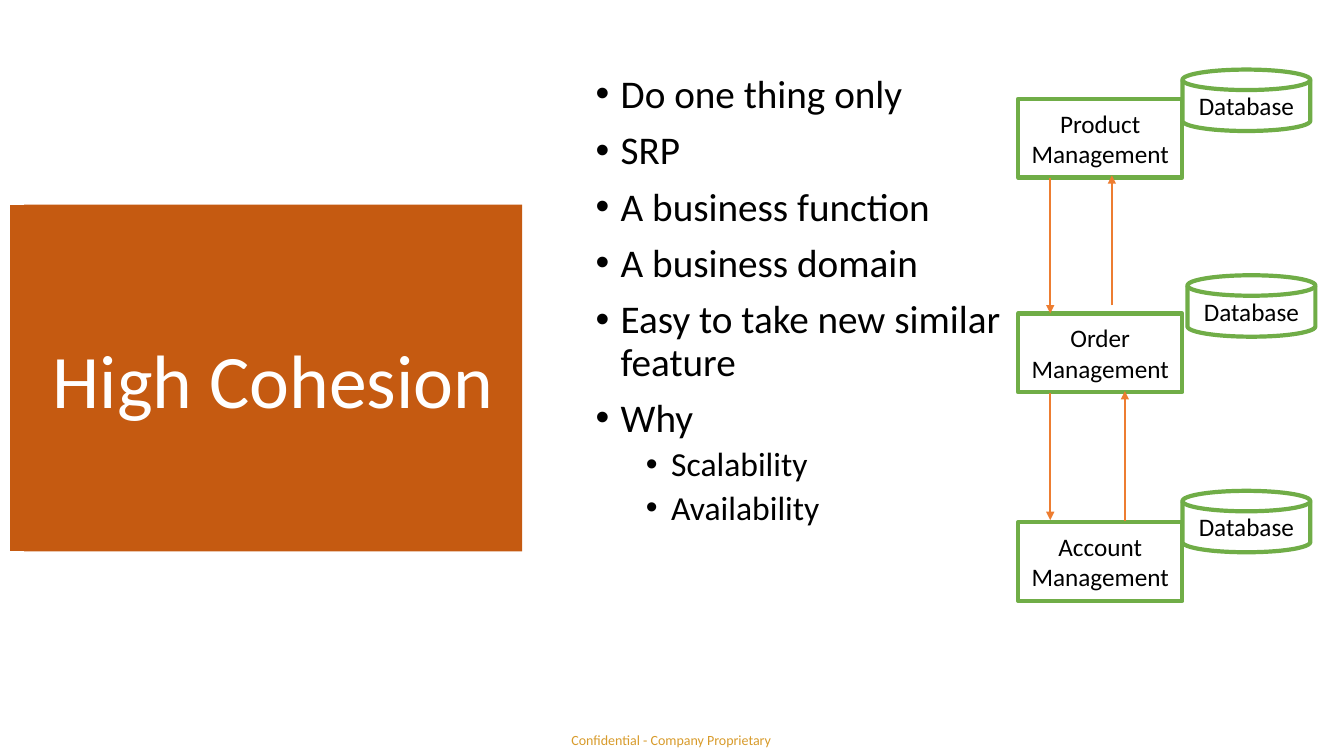
"""Build the High Cohesion slide: title panel, bullet list and service diagram."""
from dataclasses import dataclass

import lxml.etree
import pptx
import pptx.dml.color
import pptx.enum.shapes
import pptx.enum.text
import pptx.oxml.ns
import pptx.util

Pt = pptx.util.Pt
RGBColor = pptx.dml.color.RGBColor
Shapes = pptx.enum.shapes.MSO_SHAPE
Align = pptx.enum.text.PP_ALIGN
Anchor = pptx.enum.text.MSO_ANCHOR
qn = pptx.oxml.ns.qn


@dataclass(frozen=True)
class Theme:
    font: str = "Calibri"
    panel: str = "C55A11"
    outline: str = "70AD47"
    arrow: str = "ED7D31"
    footer: str = "D89B2B"
    ink: str = "000000"
    paper: str = "FFFFFF"
    title_size: float = 54
    bullet_sizes: tuple = (28, 24)
    label_size: float = 18
    footer_size: float = 10


@dataclass(frozen=True)
class Bullet:
    text: str
    level: int = 0


@dataclass(frozen=True)
class Service:
    name: str
    top: float
    disk_left: float
    disk_top: float


@dataclass(frozen=True)
class Arrow:
    x: float
    start: float
    end: float


THEME = Theme()
BULLETS = (
    Bullet("Do one thing only"),
    Bullet("SRP"),
    Bullet("A business function"),
    Bullet("A business domain"),
    Bullet("Easy to take new similar feature"),
    Bullet("Why"),
    Bullet("Scalability", 1),
    Bullet("Availability", 1),
)
SERVICES = (
    Service("Order Management", 223.9, 848.2, 196.6),
    Service("Account Management", 373, 844.6, 350.6),
    Service("Product Management", 70.6, 844.6, 49.7),
)
ARROWS = (
    Arrow(750.2, 127.4, 223.9),
    Arrow(750.2, 280.8, 371.5),
    Arrow(794.2, 218.2, 125.3),
    Arrow(803.5, 372.2, 279.4),
)
SERVICE_LEFT, SERVICE_SIZE, DISK_SIZE = 727.2, (117.4, 56.2), (91.4, 43.9)
PANEL_TOP, PANEL_SIZE = 146.2, (355.7, 247.7)


def color(value: str) -> RGBColor:
    return RGBColor.from_string(value)


def add_run(para, text: str, size: float, ink: str) -> None:
    span = para.add_run()
    span.text = text
    span.font.name = THEME.font
    span.font.size = Pt(size)
    span.font.color.rgb = color(ink)


def add_box(page, kind, left: float, top: float, size: tuple,
            fill: str, line: str, weight: float):
    box = page.shapes.add_shape(kind, Pt(left), Pt(top), Pt(size[0]), Pt(size[1]))
    box.shadow.inherit = False
    box.fill.solid()
    box.fill.fore_color.rgb = color(fill)
    box.line.color.rgb = color(line)
    box.line.width = Pt(weight)
    return box


def add_label_box(page, kind, left: float, top: float, size: tuple, text: str) -> None:
    box = add_box(page, kind, left, top, size, THEME.paper, THEME.outline, 3)
    box.text_frame.word_wrap = True
    box.text_frame.vertical_anchor = Anchor.MIDDLE
    para = box.text_frame.paragraphs[0]
    para.alignment = Align.CENTER
    add_run(para, text, THEME.label_size, THEME.ink)


def add_title(page, text: str) -> None:
    title = page.shapes.title
    panel = add_box(page, Shapes.RECTANGLE, 6.5, PANEL_TOP, PANEL_SIZE,
                    THEME.panel, THEME.paper, 1)
    title.element.addprevious(panel.element)
    title.left, title.top = Pt(17.3), Pt(PANEL_TOP)
    title.width, title.height = Pt(PANEL_SIZE[0]), Pt(PANEL_SIZE[1])
    title.fill.solid()
    title.fill.fore_color.rgb = color(THEME.panel)
    frame = title.text_frame
    frame.auto_size = pptx.enum.text.MSO_AUTO_SIZE.NONE
    frame.word_wrap = True
    frame.vertical_anchor = Anchor.MIDDLE
    frame.margin_left = frame.margin_right = Pt(8)
    frame.margin_top = frame.margin_bottom = Pt(8)
    para = frame.paragraphs[0]
    para.alignment = Align.CENTER
    para.line_spacing = 1.0
    add_run(para, text, THEME.title_size, THEME.paper)


def add_bullets(page, bullets: tuple) -> None:
    box = page.shapes.add_textbox(Pt(418.3), Pt(49.7), Pt(308.9), Pt(436.3))
    frame = box.text_frame
    frame.word_wrap = True
    for index, bullet in enumerate(bullets):
        para = frame.add_paragraph() if index else frame.paragraphs[0]
        para.level = bullet.level
        para.line_spacing = 0.9
        para.space_before = Pt((10, 5)[bullet.level] if index else 0)
        properties = para._p.get_or_add_pPr()
        properties.set("marL", str(Pt(18 + 36 * bullet.level)))
        properties.set("indent", str(-Pt(18)))
        lxml.etree.SubElement(properties, qn("a:buFont")).set("typeface", "Arial")
        lxml.etree.SubElement(properties, qn("a:buChar")).set("char", "•")
        add_run(para, bullet.text, THEME.bullet_sizes[bullet.level], THEME.ink)


def add_arrow(page, arrow: Arrow) -> None:
    line = page.shapes.add_connector(pptx.enum.shapes.MSO_CONNECTOR.STRAIGHT,
                                     Pt(arrow.x), Pt(arrow.start), Pt(arrow.x), Pt(arrow.end))
    line.line.color.rgb = color(THEME.arrow)
    line.line.width = Pt(1.5)
    lxml.etree.SubElement(line.line._get_or_add_ln(), qn("a:tailEnd")).set("type", "triangle")
    lxml.etree.SubElement(line.element.spPr, qn("a:effectLst"))


def add_footer(page, text: str) -> None:
    box = page.shapes.add_textbox(Pt(408.2), Pt(522.7), Pt(145.4), Pt(12.2))
    frame = box.text_frame
    frame.margin_left = frame.margin_right = frame.margin_top = frame.margin_bottom = 0
    frame.word_wrap = False
    add_run(frame.paragraphs[0], text, THEME.footer_size, THEME.footer)


def main() -> None:
    deck = pptx.Presentation()
    deck.slide_width, deck.slide_height = Pt(960), Pt(540)
    page = deck.slides.add_slide(deck.slide_layouts.get_by_name("Title Only"))
    add_footer(page, "Confidential - Company Proprietary")
    add_bullets(page, BULLETS)
    add_title(page, "High Cohesion")
    for service in SERVICES:
        add_label_box(page, Shapes.RECTANGLE, SERVICE_LEFT, service.top,
                      SERVICE_SIZE, service.name)
        add_label_box(page, Shapes.FLOWCHART_MAGNETIC_DISK, service.disk_left,
                      service.disk_top, DISK_SIZE, "Database")
    for arrow in ARROWS:
        add_arrow(page, arrow)
    deck.save("out.pptx")


if __name__ == "__main__":
    main()
